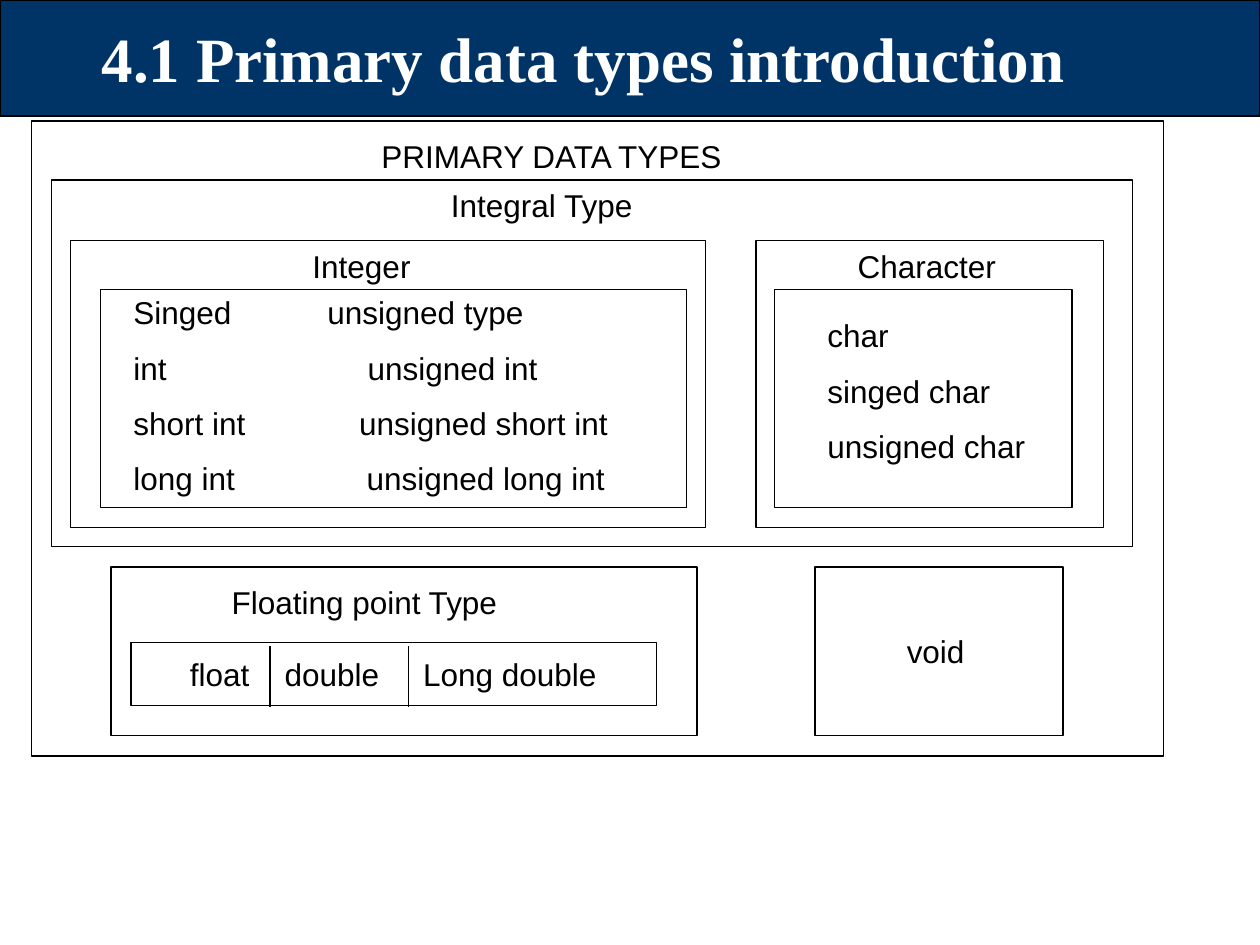
from lxml.etree import SubElement
from pptx import Presentation
from pptx.dml.color import RGBColor
from pptx.enum.shapes import MSO_CONNECTOR as Connector, MSO_SHAPE as Shape
from pptx.enum.text import MSO_ANCHOR as Anchor, PP_ALIGN as Align
from pptx.oxml.ns import qn
from pptx.util import Cm, Pt

NAVY = RGBColor(0x00, 0x33, 0x66)
WHITE = RGBColor(0xFF, 0xFF, 0xFF)
BLACK = RGBColor(0, 0, 0)

# Content; all lengths in cm: left, top, width, height
TITLE = "4.1 Primary data types introduction"
BANNER = (0, 0, 25.4, 2.34)
TITLE_AREA = (0.64, 0.2, 22.23, 1.91)

FRAMES = [
    (0.64, 2.44, 22.81, 12.8),    # primary data types
    (1.04, 3.63, 21.79, 7.39),    # integral type
    (1.42, 4.85, 12.8, 5.79),     # integer
    (2.03, 5.84, 11.81, 4.39),    # integer list
    (15.24, 4.85, 7.01, 5.79),    # character
    (15.62, 5.84, 5.99, 4.39),    # character list
    (2.24, 11.43, 11.81, 3.4),    # floating point type
    (16.43, 11.43, 5, 3.4),       # void
    (2.64, 12.95, 10.59, 1.27),   # floating point list
]

# Each line of text is paired with its tab stops
TEXTS = [
    ((7.44, 2.64, 8, 1.02), [("PRIMARY DATA TYPES", [])]),
    ((8.84, 3.63, 5, 1.02), [("Integral Type", [])]),
    ((6.05, 4.85, 3, 1.02), [("Integer", [])]),
    ((17.04, 4.85, 4.19, 1.02), [("Character", [])]),
    ((4.42, 11.63, 6.6, 1.02), [("Floating point Type", [])]),
    ((18.03, 12.62, 2.41, 1.02), [("void", [])]),
    ((2.44, 5.79, 11, 4.47), [
        ("Singed\tunsigned type", [3.91]),
        ("int\tunsigned int", [4.72]),
        ("short int\tunsigned short int", [4.55]),
        ("long int\tunsigned long int", [4.7]),
    ]),
    ((16.43, 6.25, 5, 3.3),
     [("char", []), ("singed char", []), ("unsigned char", [])]),
    ((3.58, 13.08, 9.4, 1.02), [("float\tdouble\tLong double", [1.91, 4.7])]),
]

DIVIDERS = (5.44, 8.23)
DIVIDER_TOP, DIVIDER_BOTTOM = 13.03, 14.25


def cm(area):
    return [Cm(length) for length in area]


def add_frame(area, fill=None):
    frame = slide.shapes.add_shape(Shape.RECTANGLE, *cm(area))
    frame.shadow.inherit = False
    if fill is None:
        frame.fill.background()
    else:
        frame.fill.solid()
        frame.fill.fore_color.rgb = fill
    frame.line.color.rgb = BLACK
    frame.line.width = Pt(0.75)


def set_font(paragraph, name, size, color, bold=False):
    font = paragraph.font
    font.name, font.size, font.bold = name, Pt(size), bold
    font.color.rgb = color


def add_tabs(paragraph, stops):
    tab_list = SubElement(paragraph._p.get_or_add_pPr(), qn("a:tabLst"))
    for stop in stops:
        SubElement(tab_list, qn("a:tab"), pos=str(Cm(stop)), algn="l")


def add_text(area, lines):
    frame = slide.shapes.add_textbox(*cm(area)).text_frame
    frame.word_wrap = True
    for i, (line, stops) in enumerate(lines):
        paragraph = frame.add_paragraph() if i else frame.paragraphs[0]
        paragraph.text = line
        if i:
            paragraph.space_before = Pt(10)
        if stops:
            add_tabs(paragraph, stops)
        set_font(paragraph, "Arial", 18, BLACK)


prs = Presentation()
prs.slide_width, prs.slide_height = Cm(25.4), Cm(19.05)
slide = prs.slides.add_slide(prs.slide_layouts[6])

# Title banner
add_frame(BANNER, NAVY)
title = slide.shapes.add_textbox(*cm(TITLE_AREA)).text_frame
title.word_wrap = True
title.vertical_anchor = Anchor.MIDDLE
heading = title.paragraphs[0]
heading.text = TITLE
heading.alignment = Align.CENTER
set_font(heading, "Times New Roman", 36, WHITE, bold=True)

# Nested frames and their text
for area in FRAMES:
    add_frame(area)
for area, lines in TEXTS:
    add_text(area, lines)

# Dividers between the floating point types
for x in DIVIDERS:
    divider = slide.shapes.add_connector(
        Connector.STRAIGHT, *cm((x, DIVIDER_TOP, x, DIVIDER_BOTTOM)))
    divider.line.color.rgb = BLACK
    divider.line.width = Pt(0.75)
    SubElement(divider._element.spPr, qn("a:effectLst"))

prs.save("out.pptx")
